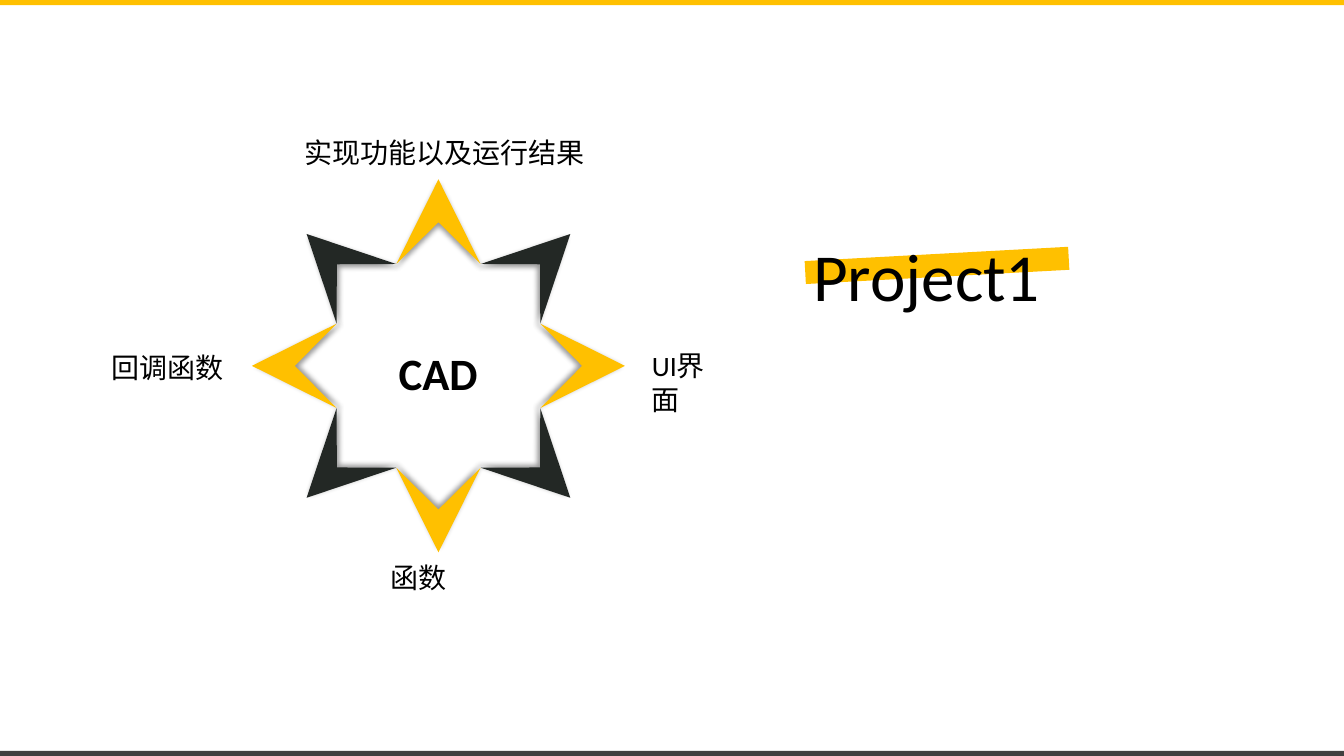
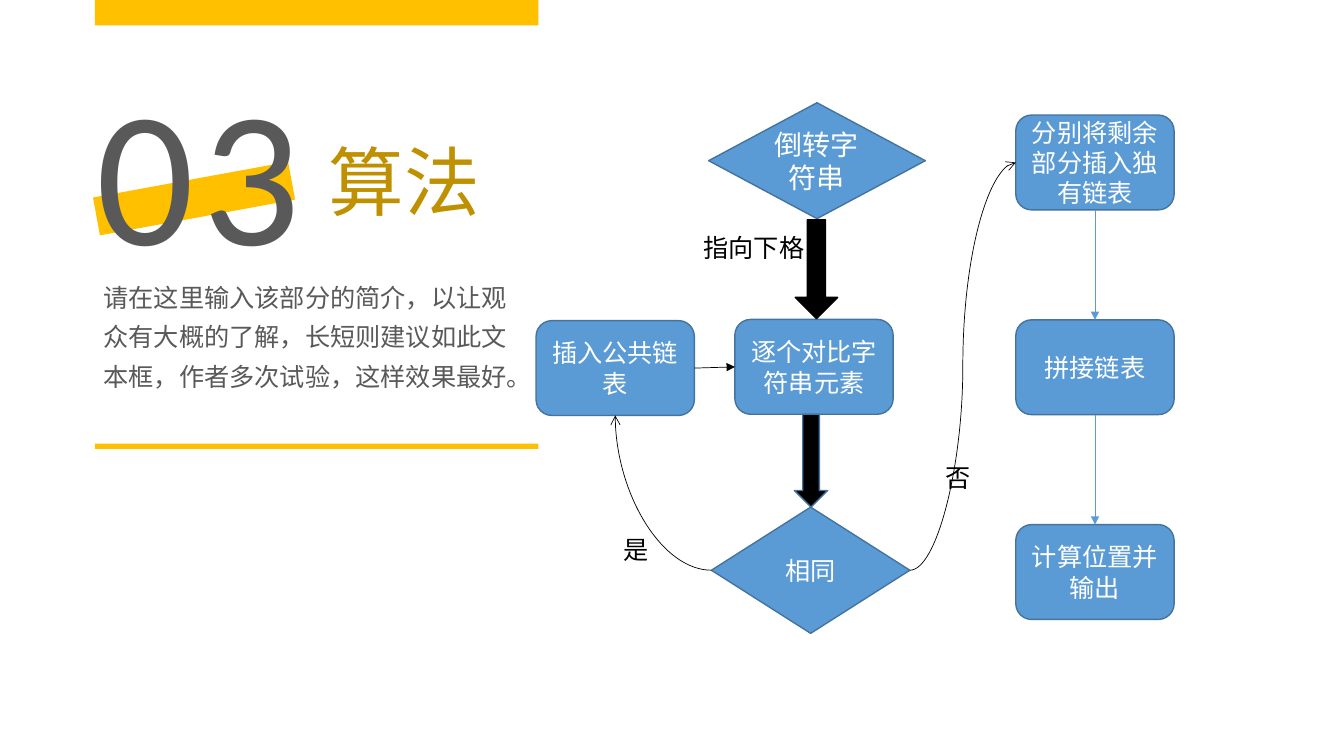
"""Build a CAD project overview and its string-comparison flowchart."""
from dataclasses import dataclass
from math import cos, radians, sin

from lxml.etree import SubElement
from pptx import Presentation
from pptx.dml.color import RGBColor
from pptx.enum.shapes import MSO_CONNECTOR as Link, MSO_SHAPE as Shape
from pptx.enum.text import MSO_ANCHOR as Anchor, MSO_AUTO_SIZE as AutoSize, PP_ALIGN as Align
from pptx.oxml.ns import qn
from pptx.util import Cm, Pt


@dataclass(frozen=True)
class Theme:
    accent: str = "FFC000"
    gold: str = "BF9000"
    dark: str = "404040"
    star: str = "232825"
    muted: str = "595959"
    node: str = "5B9BD5"
    outline: str = "43739E"
    black: str = "000000"
    white: str = "FFFFFF"
    font: str = "Calibri"
    cjk: str = "Noto Sans CJK SC"
    body: int = 18
    label: int = 20
    hub: int = 32
    title: int = 48
    section: int = 54
    number: int = 138


THEME = Theme()
WIDTH, HEIGHT = 33.87, 19.05
RULE = 0.13
NODE_SIZE = (3.99, 2.39)
TOP, LEFT, BOTTOM, RIGHT = range(4)


def rgb(color):
    return RGBColor.from_string(color)


def write(frame, text, size, color, font=THEME.font, align=Align.LEFT):
    frame.text = text
    paragraph = frame.paragraphs[0]
    paragraph.alignment = align
    run = paragraph.runs[0]
    run.font.size = Pt(size)
    run.font.color.rgb = rgb(color)
    run.font.name = font
    SubElement(run.font._element, qn("a:ea"), typeface=THEME.cjk)
    return paragraph


def paint(shape, fill, line=None, width=1):
    shape.shadow.inherit = False
    shape.fill.solid()
    shape.fill.fore_color.rgb = rgb(fill)
    if line:
        shape.line.color.rgb = rgb(line)
        shape.line.width = Pt(width)
    else:
        shape.line.fill.background()


def add_box(slide, kind, box, fill, line=None):
    shape = slide.shapes.add_shape(kind, *map(Cm, box))
    paint(shape, fill, line)
    return shape


def add_bar(slide, box, fill=THEME.accent, rotation=0):
    add_box(slide, Shape.RECTANGLE, box, fill).rotation = rotation


def add_label(slide, text, box, size=THEME.label, color=THEME.black,
              font=THEME.font, align=Align.LEFT, wrap=False):
    frame = slide.shapes.add_textbox(*map(Cm, box)).text_frame
    frame.word_wrap = wrap
    return write(frame, text, size, color, font, align)


def add_title(slide, text, box, size, color, font=THEME.font):
    """Format the title placeholder and bring it in front of its highlight."""
    title = slide.shapes.title
    title.left, title.top, title.width, title.height = map(Cm, box)
    frame = title.text_frame
    frame.word_wrap = True
    frame.auto_size = AutoSize.NONE
    frame.vertical_anchor = Anchor.TOP
    write(frame, text, size, color, font)
    title.element.getparent().append(title.element)


def add_star_point(slide, center, angle, color):
    """Draw one chevron of the star, with a shadow cast towards the hub."""
    turn = radians(angle)
    outline = [(2.57, -1.06), (4.7, 0), (2.57, 1.06), (3.62, 0)]
    points = [(Cm(center[0] + reach * cos(turn) - side * sin(turn)),
               Cm(center[1] + reach * sin(turn) + side * cos(turn)))
              for reach, side in outline]
    builder = slide.shapes.build_freeform(*points[0], scale=1.0)
    builder.add_line_segments(points[1:], close=True)
    chevron = builder.convert_to_shape()
    paint(chevron, color)
    effects = chevron.element.spPr.find(qn("a:effectLst"))
    shadow = SubElement(effects, qn("a:outerShdw"), blurRad=str(Pt(4)), dist=str(Pt(3)),
                        dir=str((angle + 180) % 360 * 60000), algn="ctr", rotWithShape="0")
    tint = SubElement(shadow, qn("a:srgbClr"), val=THEME.black)
    SubElement(tint, qn("a:alpha"), val="40000")


def add_node(slide, text, place, kind=Shape.ROUNDED_RECTANGLE, extent=NODE_SIZE, size=THEME.body):
    node = add_box(slide, kind, (*place, *extent), THEME.node, THEME.outline)
    write(node.text_frame, text, size, THEME.white, align=Align.CENTER)
    return node


def add_link(slide, start, start_site, end, end_site, color=THEME.black,
             kind=Link.STRAIGHT, head="triangle", preset=None):
    """Glue an arrow between the chosen sides of two nodes."""
    link = slide.shapes.add_connector(kind, 0, 0, 0, 0)
    link.begin_connect(start, start_site)
    link.end_connect(end, end_site)
    link.line.color.rgb = rgb(color)
    link.line.width = Pt(0.5)
    properties = link.element.spPr
    SubElement(properties.find(qn("a:ln")), qn("a:tailEnd"), type=head)
    SubElement(properties, qn("a:effectLst"))
    if preset:
        properties.find(qn("a:prstGeom")).set("prst", preset)


def build_overview(slide):
    for step in range(8):
        add_star_point(slide, (11.05, 9.22), step * 45, THEME.star if step % 2 else THEME.accent)
    hub = add_label(slide, "CAD", (9.75, 8.59, 2.59, 1.63), THEME.hub, align=Align.CENTER)
    hub.runs[0].font.bold = True
    for text, left, top, width in [("实现功能以及运行结果", 7.42, 3.3, 7.65),
                                   ("函数", 9.6, 14, 1.93),
                                   ("回调函数", 2.57, 8.71, 3.35)]:
        add_label(slide, text, (left, top, width, 1.12))
    add_label(slide, "UI界面", (16.18, 8.66, 2.1, 1.12), wrap=True)
    add_bar(slide, (0, 0, WIDTH, RULE))
    add_bar(slide, (0, HEIGHT - RULE, WIDTH, RULE), THEME.dark)
    add_bar(slide, (20.29, 6.4, 6.65, 0.58), rotation=356.9)
    add_title(slide, "Project1", (20.24, 5.77, 7.62, 2.31), THEME.title, THEME.black)


def build_section_panel(slide):
    add_bar(slide, (2.39, 4.52, 5, 0.97), rotation=349.6)
    for top, height in [(0, 0.64), (11.18, RULE)]:
        add_bar(slide, (2.39, top, 11.18, height))
    number = add_label(slide, "03", (2.18, 1.19, 5.99, 6.15), THEME.number, THEME.muted)
    number.runs[0].font._element.set("spc", "600")
    add_title(slide, "算法", (8.03, 3.28, 5.13, 2.57), THEME.section, THEME.gold, THEME.cjk)
    intro = add_label(slide, "请在这里输入该部分的简介，以让观众有大概的了解，长短则建议如此文本框，"
                      "作者多次试验，这样效果最好。",
                      (2.36, 6.76, 11.2, 3.25), THEME.body, THEME.muted, wrap=True)
    intro.line_spacing = 1.3


def build_flowchart(slide):
    add_node(slide, "倒转字符串", (17.86, 2.59), Shape.DIAMOND, (5.46, 2.92), THEME.label)
    compare = add_node(slide, "逐个对比字符串元素", (18.52, 8.05))
    add_box(slide, Shape.DOWN_ARROW, (20.02, 10.44, 0.84, 2.34), THEME.black, THEME.outline)
    same = add_node(slide, "相同", (17.93, 12.78), Shape.FLOWCHART_DECISION, (5, 3.18))
    advance = add_box(slide, Shape.DOWN_ARROW, (20.04, 5.54, 1.07, 2.49), THEME.black, THEME.black)
    advance.adjustments[0] = 0.43
    common = add_node(slide, "插入公共链表", (13.51, 8.08))
    remainder, joined, output = [
        add_node(slide, text, (25.6, 2.9 + row * 5.16))
        for row, text in enumerate(["分别将剩余部分插入独有链表", "拼接链表", "计算位置并输出"])]

    add_link(slide, same, LEFT, common, BOTTOM, kind=Link.CURVE, head="arrow",
             preset="curvedConnector2")
    add_link(slide, same, RIGHT, remainder, LEFT, kind=Link.CURVE, head="arrow")
    add_link(slide, common, RIGHT, compare, LEFT)
    for above, below in [(remainder, joined), (joined, output)]:
        add_link(slide, above, BOTTOM, below, TOP, THEME.node)

    for text, left, top, width, font in [("指向下格", 17.48, 5.74, 3.25, THEME.font),
                                         ("是", 15.47, 13.34, 3.38, THEME.cjk),
                                         ("否", 23.57, 11.53, 1.14, THEME.cjk)]:
        add_label(slide, text, (left, top, width, 1.02), THEME.body, font=font)


def main():
    deck = Presentation()
    deck.slide_width, deck.slide_height = Cm(WIDTH), Cm(HEIGHT)
    title_only = deck.slide_layouts[5]
    build_overview(deck.slides.add_slide(title_only))
    algorithm = deck.slides.add_slide(title_only)
    build_section_panel(algorithm)
    build_flowchart(algorithm)
    deck.save("out.pptx")


if __name__ == "__main__":
    main()
